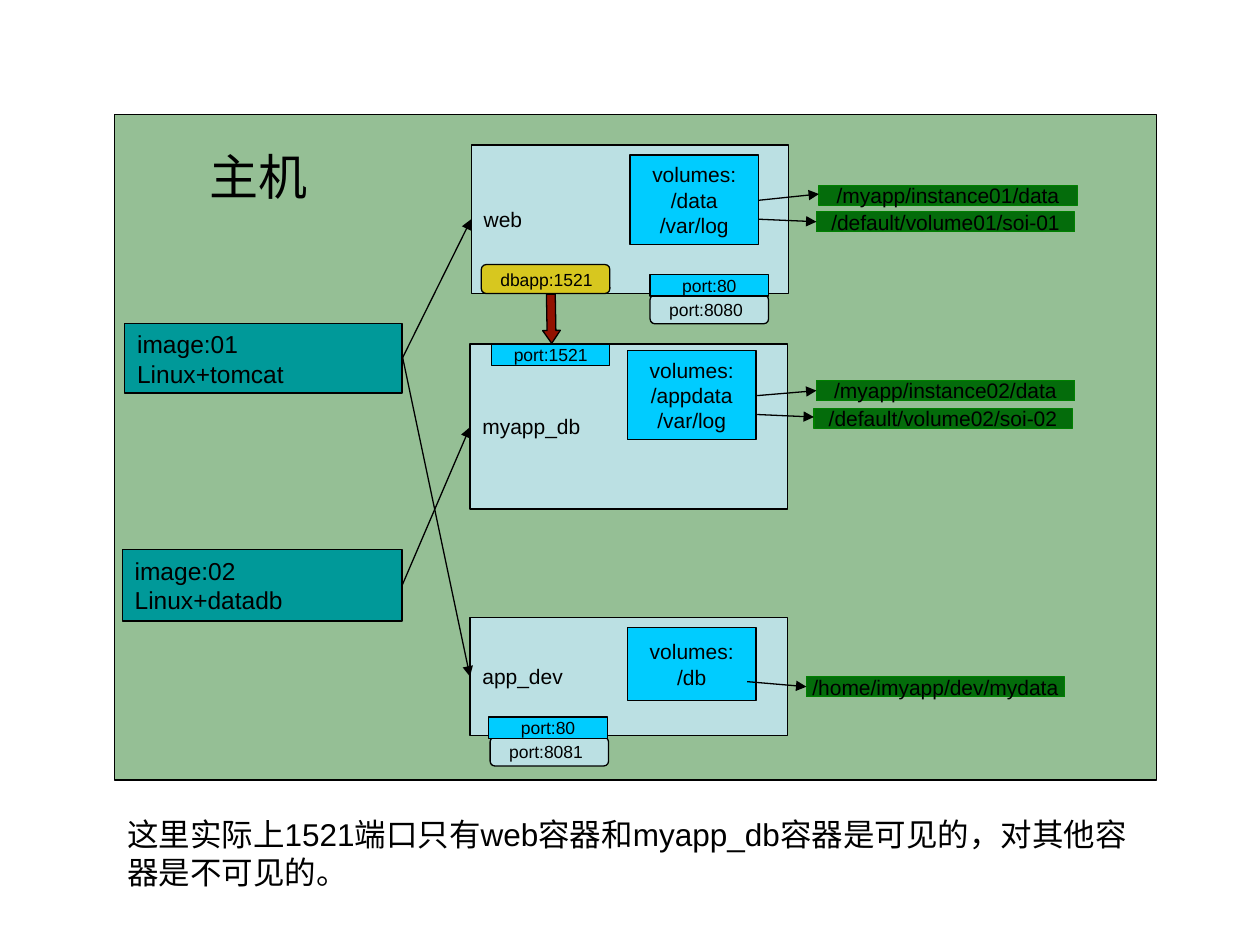
from dataclasses import dataclass

from lxml import etree
from pptx import Presentation
from pptx import util as u
from pptx.dml.color import RGBColor
from pptx.enum import shapes, text
from pptx.oxml import ns


@dataclass(frozen=True)
class Theme:
    font: str = "Arial"
    ink: str = "000000"
    host: str = "95BF95"
    image: str = "009999"
    container: str = "BBE0E3"
    inner: str = "00CCFF"
    mount: str = "046C0B"
    mount_edge: str = "008000"
    link: str = "D7C71F"
    link_arrow: str = "921201"
    heading: int = 28
    caption: int = 18
    image_size: int = 14
    label: int = 12
    port: int = 10
    edge: float = 0.75


THEME = Theme()
PROCESS = shapes.MSO_SHAPE.FLOWCHART_PROCESS
ROUNDED = shapes.MSO_SHAPE.ROUNDED_RECTANGLE


@dataclass(frozen=True)
class Style:
    fill: str
    size: int = THEME.label
    edge: str = THEME.ink
    centred: bool = True
    preset: shapes.MSO_SHAPE = PROCESS
    inset: float = 0.1


@dataclass(frozen=True)
class Box:
    left: float
    top: float
    width: float
    height: float
    style: Style
    label: str = ""


@dataclass(frozen=True)
class Arrow:
    x1: float
    y1: float
    x2: float
    y2: float


HOST = Style(THEME.host)
HEADING = Style(THEME.host, THEME.heading, THEME.host)
IMAGE = Style(THEME.image, THEME.image_size, centred=False)
CONTAINER = Style(THEME.container, centred=False)
VOLUMES = Style(THEME.inner)
PORT = Style(THEME.inner, THEME.port)
HOST_PORT = Style(THEME.container, THEME.port, centred=False, preset=ROUNDED, inset=0.14)
LINK = Style(THEME.link, THEME.port, centred=False, preset=ROUNDED, inset=0.14)
MOUNT = Style(THEME.mount, edge=THEME.mount_edge)


def mount(left: float, top: float, label: str) -> Box:
    return Box(left, top, 2.05, 0.16, MOUNT, label)


def volumes(left: float, top: float, height: float, *paths: str) -> Box:
    return Box(left, top, 1.02, height, VOLUMES, "\n".join(("volumes:", *paths)))


def port(left: float, top: float, label: str) -> Box:
    return Box(left, top, 0.94, 0.17, PORT, label)


def host_port(left: float, top: float, label: str) -> Box:
    return Box(left, top, 0.94, 0.23, HOST_PORT, label)


BOXES = [
    Box(0.91, 0.91, 8.27, 5.28, HOST),
    Box(1.3, 1.08, 1.5, 0.63, HEADING, "主机"),
    Box(0.99, 2.57, 2.2, 0.55, IMAGE, "image:01\nLinux+tomcat"),
    Box(0.97, 4.36, 2.22, 0.57, IMAGE, "image:02\nLinux+datadb"),
    Box(3.74, 1.15, 2.52, 1.18, CONTAINER, "web"),
    host_port(5.16, 2.34, "port:8080"),
    port(5.16, 2.18, "port:80"),
    volumes(5, 1.23, 0.71, "/data", "/var/log"),
    mount(6.5, 1.47, "/myapp/instance01/data"),
    mount(6.48, 1.68, "/default/volume01/soi-01"),
    Box(3.73, 2.73, 2.52, 1.31, CONTAINER, "myapp_db"),
    Box(3.82, 2.1, 1.02, 0.23, LINK, "dbapp:1521"),
    port(3.9, 2.73, "port:1521"),
    volumes(4.98, 2.78, 0.71, "/appdata", "/var/log"),
    mount(6.48, 3.02, "/myapp/instance02/data"),
    mount(6.46, 3.24, "/default/volume02/soi-02"),
    Box(3.73, 4.9, 2.52, 0.94, CONTAINER, "app_dev"),
    host_port(3.89, 5.85, "port:8081"),
    port(3.88, 5.69, "port:80"),
    volumes(4.98, 4.98, 0.58, "/db"),
    mount(6.4, 5.37, "/home/imyapp/dev/mydata"),
]

ARROWS = [
    Arrow(3.19, 2.85, 3.74, 1.74),
    Arrow(6.02, 1.59, 6.5, 1.54),
    Arrow(6.26, 1.74, 6.26, 1.74),
    Arrow(6.02, 1.74, 6.48, 1.76),
    Arrow(6.01, 3.14, 6.48, 3.1),
    Arrow(6.01, 3.29, 6.46, 3.31),
    Arrow(5.93, 5.41, 6.4, 5.45),
    Arrow(3.19, 4.65, 3.73, 3.39),
    Arrow(3.19, 2.81, 3.73, 5.37),
]


def write_text(shape, content: str, *, size: int, centred: bool = False,
               wrap: bool = True, inset: float = 0.1,
               anchor=text.MSO_ANCHOR.MIDDLE) -> None:
    frame = shape.text_frame
    frame.word_wrap = wrap
    frame.vertical_anchor = anchor
    frame.margin_left = u.Inches(inset)
    frame.margin_right = u.Inches(0.1)
    frame.margin_top = frame.margin_bottom = u.Inches(0.05)
    frame.text = content
    for paragraph in frame.paragraphs:
        paragraph.alignment = text.PP_ALIGN.CENTER if centred else text.PP_ALIGN.LEFT
        for run in paragraph.runs:
            run.font.name = THEME.font
            run.font.size = u.Pt(size)
            run.font.color.rgb = RGBColor.from_string(THEME.ink)


def draw_box(slide, box: Box):
    style = box.style
    shape = slide.shapes.add_shape(
        style.preset, *map(u.Inches, (box.left, box.top, box.width, box.height)))
    shape.shadow.inherit = False
    shape.fill.solid()
    shape.fill.fore_color.rgb = RGBColor.from_string(style.fill)
    shape.line.color.rgb = RGBColor.from_string(style.edge)
    shape.line.width = u.Pt(THEME.edge)
    if box.label:
        write_text(shape, box.label, size=style.size, centred=style.centred,
                   wrap=not style.centred, inset=style.inset)
    return shape


def draw_arrow(slide, arrow: Arrow) -> None:
    connector = slide.shapes.add_connector(
        shapes.MSO_CONNECTOR.STRAIGHT,
        *map(u.Inches, (arrow.x1, arrow.y1, arrow.x2, arrow.y2)))
    connector.line.color.rgb = RGBColor.from_string(THEME.ink)
    connector.line.width = u.Pt(THEME.edge)
    properties = connector._element.spPr
    line = properties.find(ns.qn("a:ln"))
    etree.SubElement(line, ns.qn("a:tailEnd"), type="triangle")
    etree.SubElement(properties, ns.qn("a:effectLst"))


def main() -> None:
    presentation = Presentation()
    presentation.slide_width = u.Inches(10)
    presentation.slide_height = u.Inches(7.5)
    slide = presentation.slides.add_slide(presentation.slide_layouts[6])
    for box in BOXES:
        draw_box(slide, box)
    for arrow in ARROWS:
        draw_arrow(slide, arrow)
    link_style = Style(THEME.link_arrow, preset=shapes.MSO_SHAPE.RIGHT_ARROW)
    link_arrow = draw_box(slide, Box(4.18, 2.46, 0.39, 0.14, link_style))
    link_arrow.adjustments[1] = 0.73
    link_arrow.rotation = 89
    caption = slide.shapes.add_textbox(*map(u.Inches, (0.91, 6.42, 8.18, 0.7)))
    write_text(caption,
               "这里实际上1521端口只有web容器和myapp_db容器是可见的，对其他容器是不可见的。",
               size=THEME.caption, anchor=text.MSO_ANCHOR.TOP)
    presentation.save("out.pptx")


if __name__ == "__main__":
    main()
